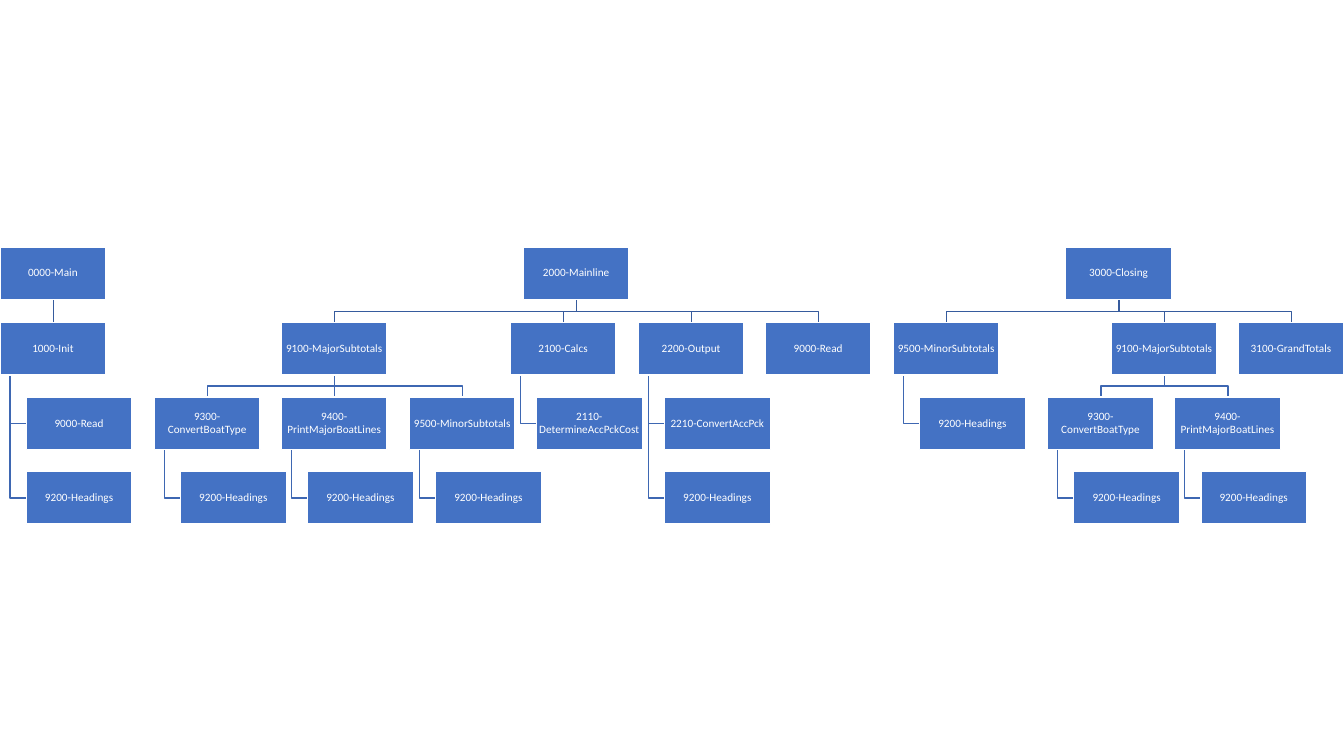
from dataclasses import dataclass, field
from typing import Iterator

from lxml import etree
from pptx import Presentation, util as u
from pptx.dml.color import RGBColor
from pptx.enum import shapes, text
from pptx.oxml.ns import qn

PX = 9144  # EMU per px, 100 px to the inch
COLOURS = {"box": "4472C4", "white": "FFFFFF", "upper line": "365B9D", "lower line": "3E67B2"}
ROW_TOPS = (245, 320, 394, 468)
BOX_WIDTH, BOX_HEIGHT = 105, 52
HALF_WIDTH = 53
ROW_GAP = 22
STEM_INDENT, HANG_INDENT = 10, 26


@dataclass
class Module:
    """A box with either children spread below it or names hung from its left side."""
    name: str
    left: int
    children: list["Module"] = field(default_factory=list)
    hung: tuple[str, ...] = ()


HEADINGS = ("9200-Headings",)
PROGRAM = [
    Module("0000-Main", 0, [
        Module("1000-Init", 0, hung=("9000-Read", "9200-Headings")),
    ]),
    Module("2000-Mainline", 519, [
        Module("9100-MajorSubtotals", 279, [
            Module("9300-ConvertBoatType", 153, hung=HEADINGS),
            Module("9400-PrintMajorBoatLines", 279, hung=HEADINGS),
            Module("9500-MinorSubtotals", 406, hung=HEADINGS),
        ]),
        Module("2100-Calcs", 506, hung=("2110-DetermineAccPckCost",)),
        Module("2200-Output", 633, hung=("2210-ConvertAccPck", "9200-Headings")),
        Module("9000-Read", 759),
    ]),
    Module("3000-Closing", 1057, [
        Module("9500-MinorSubtotals", 886, hung=HEADINGS),
        Module("9100-MajorSubtotals", 1102, [
            Module("9300-ConvertBoatType", 1039, hung=HEADINGS),
            Module("9400-PrintMajorBoatLines", 1165, hung=HEADINGS),
        ]),
        Module("3100-GrandTotals", 1228),
    ]),
]


def colour(name: str) -> RGBColor:
    return RGBColor.from_string(COLOURS[name])


def walk(modules: list[Module], row: int = 0) -> Iterator[tuple[Module, int]]:
    """Yield every module with its row, parents first."""
    for module in modules:
        yield module, row
        yield from walk(module.children, row + 1)


def draw_line(page, points: list[tuple[int, int]], line_colour: str) -> None:
    scaled = [(x * PX, y * PX) for x, y in points]
    start, end = scaled[0], scaled[-1]
    if start[0] == end[0]:
        line = page.shapes.add_connector(shapes.MSO_CONNECTOR.STRAIGHT, *start, *end)
        etree.SubElement(line._element.spPr, qn("a:effectLst"))
    else:
        builder = page.shapes.build_freeform(*start, scale=1.0)
        builder.add_line_segments(scaled[1:], close=False)
        line = builder.convert_to_shape()
        line.fill.background()
        line.shadow.inherit = False
    line.line.color.rgb = colour(line_colour)
    line.line.width = u.Pt(1)


def draw_links(page, module: Module, row: int) -> None:
    """Join a module to its children and its hung names."""
    line_colour = "lower line" if row else "upper line"
    centre = module.left + HALF_WIDTH
    for child in module.children:
        top = ROW_TOPS[row + 1]
        bend = top - ROW_GAP // 2
        child_centre = child.left + HALF_WIDTH
        draw_line(page, [(centre, top - ROW_GAP), (centre, bend),
                         (child_centre, bend), (child_centre, top)], line_colour)
    stem = module.left + STEM_INDENT
    for hung_row in range(row + 1, row + 1 + len(module.hung)):
        middle = ROW_TOPS[hung_row] + BOX_HEIGHT // 2
        draw_line(page, [(stem, ROW_TOPS[row] + BOX_HEIGHT), (stem, middle),
                         (module.left + HANG_INDENT, middle)], line_colour)


def draw_box(page, name: str, left: int, row: int) -> None:
    box = page.shapes.add_shape(shapes.MSO_SHAPE.RECTANGLE, left * PX, ROW_TOPS[row] * PX,
                                BOX_WIDTH * PX, BOX_HEIGHT * PX)
    box.shadow.inherit = False
    box.fill.solid()
    box.fill.fore_color.rgb = colour("box")
    box.line.color.rgb = colour("white")
    box.line.width = u.Pt(1)
    frame = box.text_frame
    frame.word_wrap = True
    frame.vertical_anchor = text.MSO_ANCHOR.MIDDLE
    frame.margin_left = frame.margin_right = frame.margin_top = frame.margin_bottom = PX
    para = frame.paragraphs[0]
    para.alignment = text.PP_ALIGN.CENTER
    para.line_spacing = 0.9
    span = para.add_run()
    span.text = name
    span.font.name = "Calibri"
    span.font.size = u.Pt(8)
    span.font.color.rgb = colour("white")


def main() -> None:
    deck = Presentation()
    deck.slide_width, deck.slide_height = 1333 * PX, 750 * PX
    page = deck.slides.add_slide(deck.slide_layouts.get_by_name("Blank"))
    for module, row in walk(PROGRAM):
        draw_links(page, module, row)
    for module, row in walk(PROGRAM):
        draw_box(page, module.name, module.left, row)
        for hung_row, name in enumerate(module.hung, row + 1):
            draw_box(page, name, module.left + HANG_INDENT, hung_row)
    deck.save("out.pptx")


if __name__ == "__main__":
    main()
